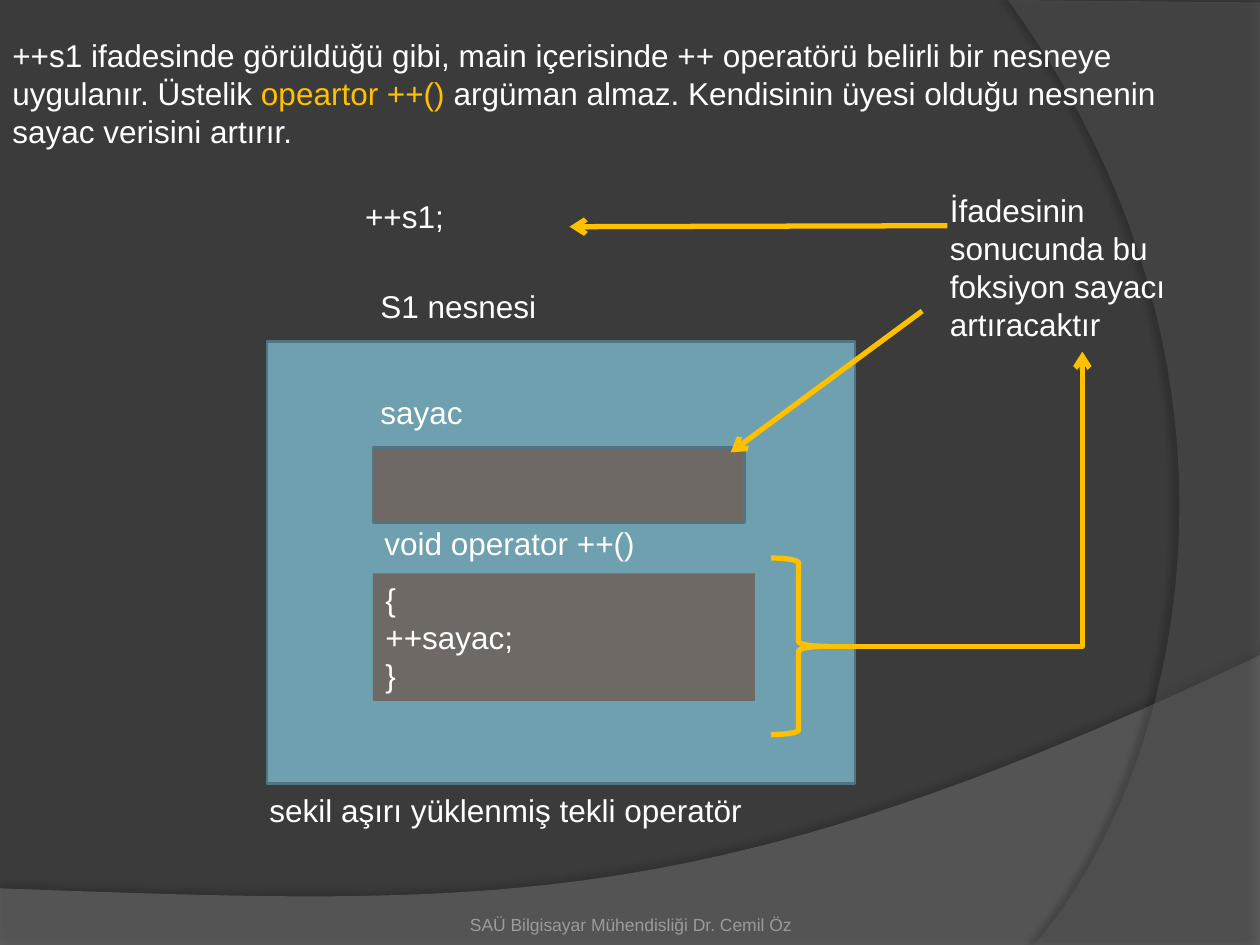
from lxml.etree import SubElement
from pptx import Presentation
from pptx.dml.color import RGBColor
from pptx.enum.shapes import MSO_CONNECTOR, MSO_SHAPE
from pptx.enum.text import MSO_ANCHOR, PP_ALIGN
from pptx.oxml.ns import qn
from pptx.util import Cm, Pt

DARK = RGBColor(0x3B, 0x3B, 0x3B)
WAVE = RGBColor(0x7F, 0x7F, 0x7F)
ARC = RGBColor(0x5E, 0x5E, 0x5E)
WHITE = RGBColor(0xFF, 0xFF, 0xFF)
GOLD = RGBColor(0xFF, 0xC0, 0x00)
BLUE = RGBColor(0x6E, 0xA0, 0xB0)
EDGE = RGBColor(0x51, 0x76, 0x82)
STONE = RGBColor(0x6E, 0x69, 0x64)
GREY = RGBColor(0x9D, 0x9B, 0x9A)


def curve(start, one, two, end, steps=40):
    """Return points along a cubic curve, both ends included."""
    spots = []
    for step in range(steps + 1):
        t = step / steps
        parts = ((1 - t) ** 3, 3 * t * (1 - t) ** 2, 3 * t * t * (1 - t), t ** 3)
        spots.append(tuple(sum(w * p[axis] for w, p in zip(parts, (start, one, two, end)))
                           for axis in (0, 1)))
    return spots


class Board:
    """Hold the style and the current slide."""

    font = {"name": "Arial", "size": Pt(18)}

    def __init__(self, slide):
        """Take the slide and paint its background."""
        self.slide = slide
        self.shapes = slide.shapes
        back = slide.background.fill
        back.solid()
        back.fore_color.rgb = DARK

    def put(self, frame, lines, ink=WHITE, align=PP_ALIGN.LEFT, **extra):
        """Fill a frame with lines, each a list of text and colour pairs or a string."""
        frame.word_wrap = True
        for index, line in enumerate(lines):
            para = frame.add_paragraph() if index else frame.paragraphs[0]
            para.alignment = align
            for text, tint in [(line, ink)] if isinstance(line, str) else line:
                run = para.add_run()
                run.text = text
                for key, value in {**self.font, **extra}.items():
                    setattr(run.font, key, value)
                run.font.color.rgb = tint

    def label(self, place, *lines, **style):
        """Add a text box and return its frame."""
        frame = self.shapes.add_textbox(*map(Cm, place)).text_frame
        self.put(frame, lines, **style)
        return frame

    def stroke(self, item, tint, width):
        """Set the line of a shape or connector."""
        item.line.color.rgb = tint
        item.line.width = Pt(width)

    def block(self, kind, place, fill=None, edge=None, width=1.5, lines=()):
        """Add a preset shape."""
        shape = self.shapes.add_shape(kind, *map(Cm, place))
        shape.shadow.inherit = False
        if fill is None:
            shape.fill.background()
        else:
            shape.fill.solid()
            shape.fill.fore_color.rgb = fill
        if edge is None:
            shape.line.fill.background()
        else:
            self.stroke(shape, edge, width)
        self.put(shape.text_frame, lines)

    def sheet(self, spots, tint, alpha, shade):
        """Add a see-through outline with a soft shadow."""
        first, *rest = [(Cm(x), Cm(y)) for x, y in spots]
        pen = self.shapes.build_freeform(*first)
        pen.add_line_segments(rest, close=True)
        shape = pen.convert_to_shape()
        shape.fill.solid()
        shape.fill.fore_color.rgb = tint
        shape.line.fill.background()
        shape.shadow.inherit = False
        props = shape._element.spPr
        color = props.find(qn("a:solidFill"))[0]
        SubElement(color, qn("a:alpha"), val=str(alpha * 1000))
        dark, blur, dist, angle = shade
        glow = SubElement(props.find(qn("a:effectLst")), qn("a:outerShdw"),
                          blurRad=str(Pt(blur)), dist=str(Pt(dist)),
                          dir=str(angle * 60000), rotWithShape="0")
        black = SubElement(glow, qn("a:srgbClr"), val="000000")
        SubElement(black, qn("a:alpha"), val=str(dark * 1000))

    def arrow(self, start, end, bent=False):
        """Add a gold arrow, straight or with one corner."""
        kind = MSO_CONNECTOR.ELBOW if bent else MSO_CONNECTOR.STRAIGHT
        link = self.shapes.add_connector(kind, *map(Cm, start + end))
        self.stroke(link, GOLD, 3)
        props = link._element.spPr
        if bent:
            props.find(qn("a:prstGeom")).set("prst", "bentConnector2")
        SubElement(props.find(qn("a:ln")), qn("a:tailEnd"), type="arrow")
        SubElement(props, qn("a:effectLst"))


def main():
    """Build the slide and save it."""
    deck = Presentation()
    deck.slide_width, deck.slide_height = Cm(25.4), Cm(19.05)
    board = Board(deck.slides.add_slide(deck.slide_layouts[6]))

    board.sheet([(0, 19.05), (25.4, 19.05)]
                + curve((25.4, 13.21), (14.2, 18.52), (9.93, 18.26), (0, 17.91)),
                WAVE, 45, (35, 4, 3.5, 270))
    board.sheet([(25.4, 0.05), (25.4, 19.05)]
                + curve((20.85, 19.05), (23.75, 15.72), (25.86, 7.62), (20.32, 0)),
                ARC, 40, (45, 4, 4, 180))

    foot = board.label((8.69, 17.83, 8.05, 1.02), "SAÜ Bilgisayar Mühendisliği Dr. Cemil Öz",
                       ink=GREY, align=PP_ALIGN.CENTER, size=Pt(10))
    margins = {"margin_left": 0, "margin_right": 0, "margin_bottom": 0,
               "vertical_anchor": MSO_ANCHOR.BOTTOM}
    for key, value in margins.items():
        setattr(foot, key, value)

    board.label((0, 0.61, 24.23, 3.33), [
        ("++s1 ifadesinde görüldüğü gibi, main içerisinde ++ operatörü belirli bir "
         "nesneye uygulanır. Üstelik ", WHITE),
        ("opeartor ++() ", GOLD),
        ("argüman almaz. Kendisinin üyesi olduğu nesnenin sayac verisini artırır.", WHITE)])

    rect = MSO_SHAPE.RECTANGLE
    board.block(rect, (5.38, 6.88, 11.86, 8.92), BLUE, EDGE)
    board.block(rect, (7.52, 9.02, 7.49, 1.52), STONE, EDGE)
    board.block(rect, (7.52, 11.56, 7.7, 2.57), STONE, lines=("{", "++sayac;", "}"))

    for left, top, wide, text in (
            (7.42, 7.8, 8.51, "sayac"),
            (7.42, 5.66, 8.51, "S1 nesnesi"),
            (7.5, 10.44, 8.51, "void operator ++()"),
            (5.18, 15.82, 13.39, "sekil aşırı yüklenmiş tekli operatör"),
            (7.11, 3.84, 8.51, "++s1;")):
        board.label((left, top, wide, 1.02), text)
    board.label((18.9, 3.73, 5.89, 3.33),
                "İfadesinin sonucunda bu foksiyon sayacı artıracaktır")

    board.block(MSO_SHAPE.RIGHT_BRACE, (15.54, 11.25, 1.12, 3.56), edge=GOLD, width=3)
    board.arrow((16.66, 13.03), (21.82, 7.09), bent=True)
    board.arrow((18.59, 6.27), (14.73, 9.12))
    board.arrow((19.1, 4.55), (11.48, 4.57))

    deck.save("out.pptx")


if __name__ == "__main__":
    main()
